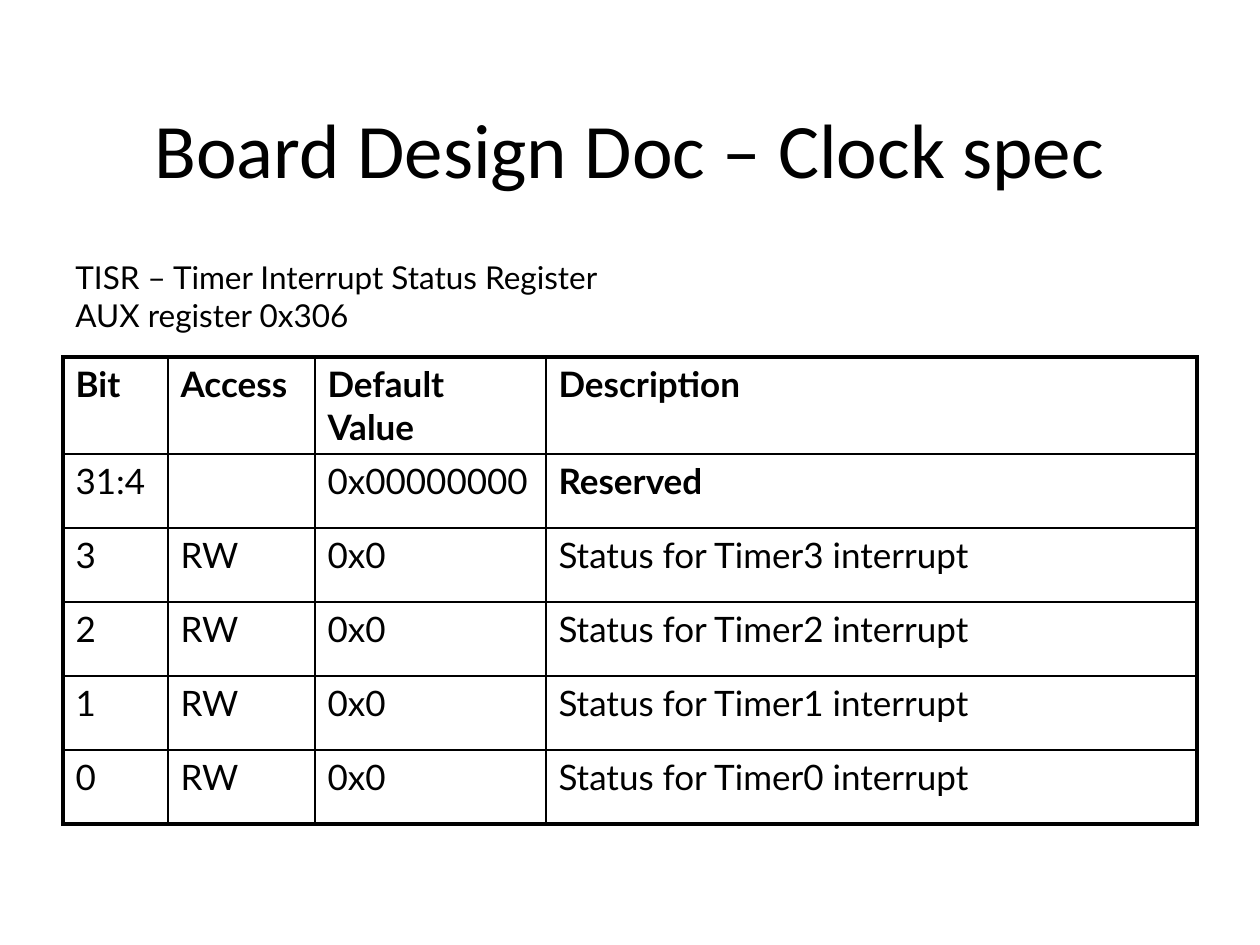
from dataclasses import dataclass

from lxml.etree import SubElement
from pptx import Presentation
from pptx.dml.color import RGBColor
from pptx.enum.text import MSO_ANCHOR, PP_ALIGN
from pptx.oxml.ns import qn
from pptx.slide import Slide
from pptx.table import _Cell
from pptx.text.text import TextFrame
from pptx.util import Emu, Pt

PIXELS_PER_INCH = 126


@dataclass(frozen=True)
class Theme:
    ink: str = "000000"
    title_font: str = "Calibri"
    body_font: str = "Lato"
    title_size: int = 44
    caption_size: int = 18
    table_size: int = 20
    inner_line: float = 1
    outer_line: float = 2.25


@dataclass(frozen=True)
class Box:
    left: int
    top: int
    width: int
    height: int


@dataclass(frozen=True)
class RegisterRow:
    bit: str
    access: str
    default: str
    description: str
    bold_columns: tuple[int, ...] = ()

    def texts(self) -> tuple[str, ...]:
        return self.bit, self.access, self.default, self.description


THEME = Theme()
TITLE_BOX = Box(63, 53, 1134, 189)
CAPTION_BOX = Box(63, 252, 1040, 88)
TABLE_BOX = Box(63, 357, 1134, 467)
COLUMN_WIDTHS = (105, 147, 231, 651)
HEADER_HEIGHT = 97
ROW_HEIGHT = 74

ROWS = [
    RegisterRow("Bit", "Access", "Default Value", "Description", (0, 1, 2, 3)),
    RegisterRow("31:4", "", "0x00000000", "Reserved", (3,)),
    *(
        RegisterRow(str(timer), "RW", "0x0", f"Status for Timer{timer} interrupt")
        for timer in range(3, -1, -1)
    ),
]


def px(length: int) -> Emu:
    return Emu(round(length * 914400 / PIXELS_PER_INCH))


def place(box: Box) -> tuple[Emu, Emu, Emu, Emu]:
    return px(box.left), px(box.top), px(box.width), px(box.height)


def format_text(text_frame: TextFrame, font: str, size: int, bold: bool = False) -> None:
    for paragraph in text_frame.paragraphs:
        for run in paragraph.runs:
            run.font.name = font
            run.font.size = Pt(size)
            run.font.bold = bold
            run.font.color.rgb = RGBColor.from_string(THEME.ink)


def add_text(slide: Slide, box: Box, text: str, font: str, size: int) -> TextFrame:
    text_frame = slide.shapes.add_textbox(*place(box)).text_frame
    text_frame.word_wrap = True
    text_frame.text = text
    format_text(text_frame, font, size)
    return text_frame


def set_borders(cell: _Cell, outer_sides: dict[str, bool]) -> None:
    properties = cell._tc.get_or_add_tcPr()
    for index, (side, is_outer) in enumerate(outer_sides.items()):
        width = THEME.outer_line if is_outer else THEME.inner_line
        line = SubElement(properties, qn(f"a:ln{side}"), w=str(Pt(width)))
        fill = SubElement(line, qn("a:solidFill"))
        SubElement(fill, qn("a:srgbClr"), val=THEME.ink)
        properties.insert(index, line)


def add_register_table(slide: Slide, box: Box, rows: list[RegisterRow]) -> None:
    last_row, last_column = len(rows) - 1, len(COLUMN_WIDTHS) - 1
    table = slide.shapes.add_table(len(rows), len(COLUMN_WIDTHS), *place(box)).table
    table.first_row = False
    table.horz_banding = False
    for column, width in zip(table.columns, COLUMN_WIDTHS):
        column.width = px(width)
    for row_index, row in enumerate(rows):
        table.rows[row_index].height = px(ROW_HEIGHT if row_index else HEADER_HEIGHT)
        for column_index, text in enumerate(row.texts()):
            cell = table.cell(row_index, column_index)
            cell.fill.background()
            set_borders(cell, {
                "L": column_index == 0,
                "R": column_index == last_column,
                "T": row_index == 0,
                "B": row_index == last_row,
            })
            cell.text_frame.text = text
            format_text(cell.text_frame, THEME.body_font, THEME.table_size,
                        column_index in row.bold_columns)


def main() -> None:
    presentation = Presentation()
    presentation.slide_width = px(1260)
    presentation.slide_height = px(945)
    slide = presentation.slides.add_slide(presentation.slide_layouts[6])

    # Title
    title = add_text(slide, TITLE_BOX, "Board Design Doc – Clock spec",
                     THEME.title_font, THEME.title_size)
    title.vertical_anchor = MSO_ANCHOR.MIDDLE
    title.paragraphs[0].alignment = PP_ALIGN.CENTER

    # Register bits
    add_register_table(slide, TABLE_BOX, ROWS)

    # Register name and address
    add_text(slide, CAPTION_BOX,
             "TISR – Timer Interrupt Status Register\nAUX register 0x306",
             THEME.body_font, THEME.caption_size)

    presentation.save("out.pptx")


if __name__ == "__main__":
    main()
